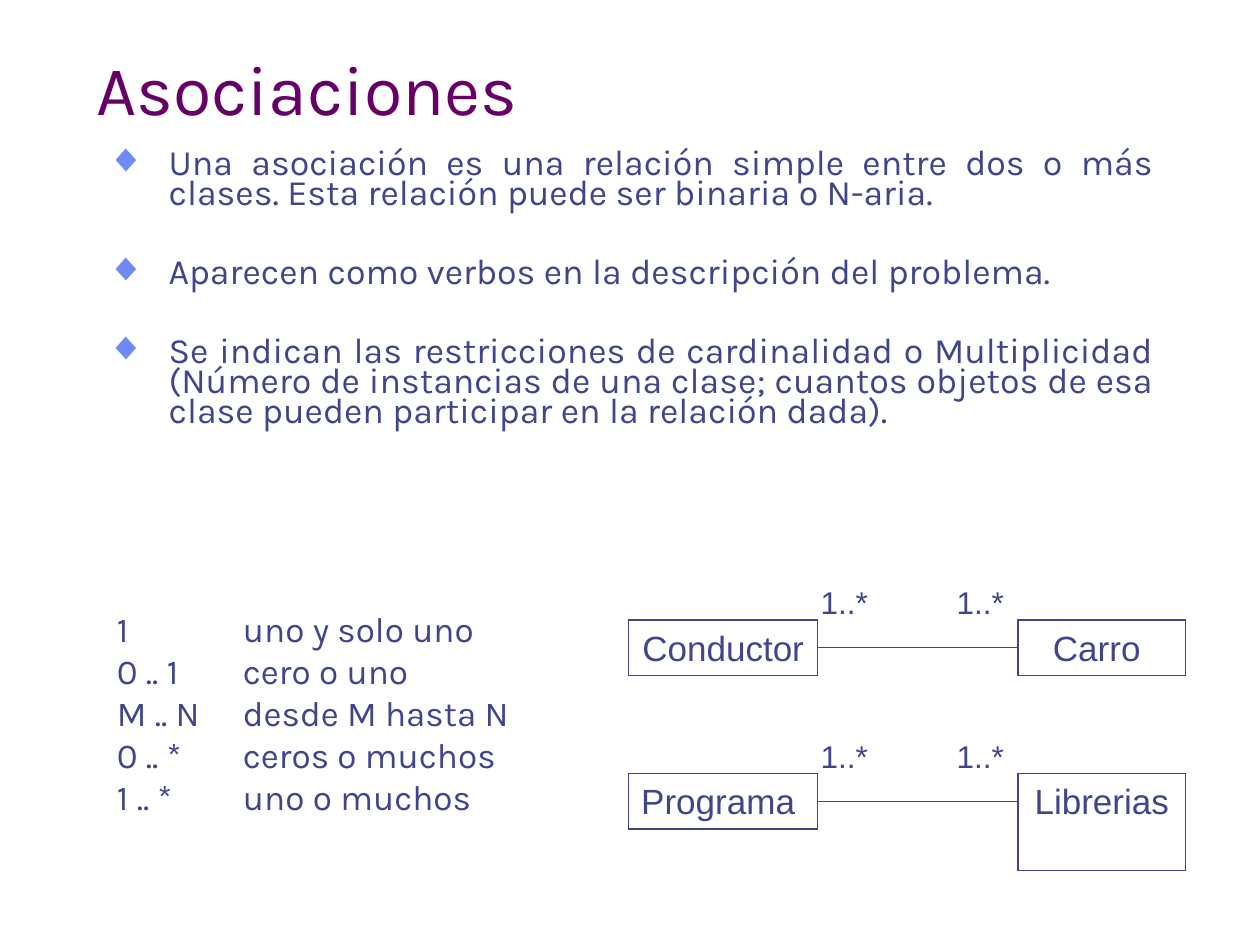
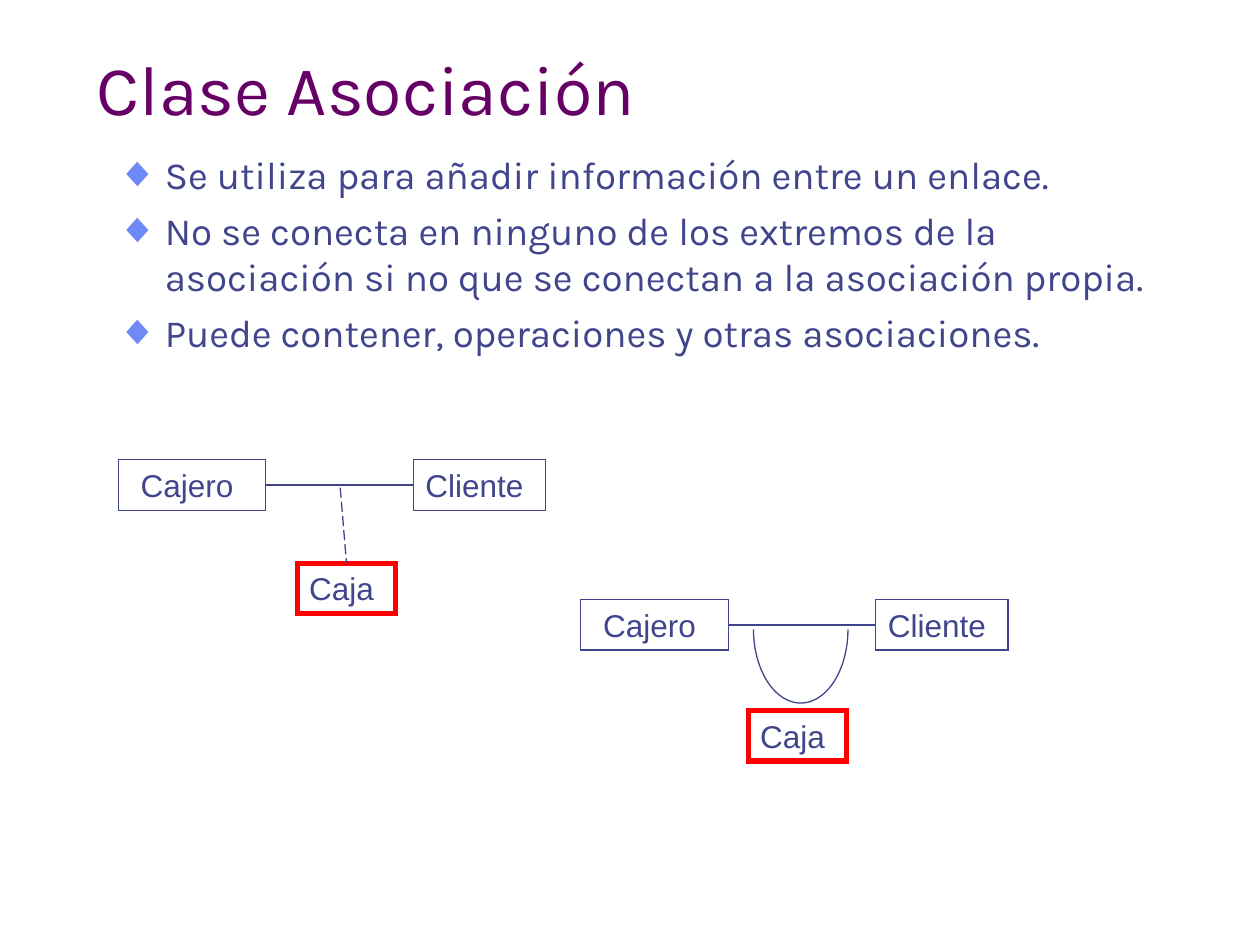
from dataclasses import dataclass

from lxml import etree
from pptx import Presentation
from pptx.dml.color import RGBColor
from pptx.enum.dml import MSO_LINE
from pptx.enum.shapes import MSO_CONNECTOR, MSO_SHAPE
from pptx.enum.text import MSO_ANCHOR, PP_ALIGN
from pptx.oxml.ns import qn
from pptx.shapes.autoshape import Shape
from pptx.shapes.connector import Connector
from pptx.slide import Slide
from pptx.util import Inches, Pt

# Shared style
PURPLE = RGBColor(0x66, 0x00, 0x66)
INDIGO = RGBColor(0x40, 0x45, 0x8C)
BULLET_BLUE = RGBColor(0x6F, 0x89, 0xF7)
RED = RGBColor(0xFF, 0x00, 0x00)
WHITE = RGBColor(0xFF, 0xFF, 0xFF)
BODY_FONT = "Karla"
DIAGRAM_FONT = "Arial"
LINE_WIDTH = Pt(0.75)
RIGHT_SIDE, LEFT_SIDE, TOP_SIDE = 3, 1, 0


@dataclass(frozen=True)
class Box:
    left: float
    top: float
    width: float
    height: float


@dataclass(frozen=True)
class ClassBox:
    """A class of the diagram; nudge moves its name to the left."""
    name: str
    box: Box
    size: float = 18
    nudge: float = 0.04
    color: RGBColor = INDIGO
    line_width: float = 0.75


TITLE_BOX = Box(0.67, 0.28, 8.5, 0.79)


def place(box: Box) -> tuple:
    return tuple(Inches(v) for v in (box.left, box.top, box.width, box.height))


def add_bullet(p_pr, indent: float) -> None:
    p_pr.set("marL", str(Inches(indent)))
    p_pr.set("indent", str(-Inches(indent)))
    color = etree.SubElement(p_pr, qn("a:buClr"))
    etree.SubElement(color, qn("a:srgbClr"), val=str(BULLET_BLUE))
    etree.SubElement(p_pr, qn("a:buSzPct"), val="110000")
    etree.SubElement(p_pr, qn("a:buFont"), typeface=DIAGRAM_FONT)
    etree.SubElement(p_pr, qn("a:buChar"), char="◆")


def add_tab(p_pr, position: float) -> None:
    tabs = etree.SubElement(p_pr, qn("a:tabLst"))
    etree.SubElement(tabs, qn("a:tab"), pos=str(Inches(position)), algn="l")


def write_text(shape: Shape, *lines: str, size: float, font: str = BODY_FONT,
               color: RGBColor = INDIGO, align: PP_ALIGN = PP_ALIGN.LEFT,
               anchor: MSO_ANCHOR = MSO_ANCHOR.TOP, spacing: float = 1.0,
               gap: float = 0, bullet_indent: float = 0, tab: float = 0,
               left_inset: float = 0.1, right_inset: float = 0.1) -> None:
    frame = shape.text_frame
    frame.word_wrap = True
    frame.vertical_anchor = anchor
    frame.margin_left, frame.margin_right = Inches(left_inset), Inches(right_inset)
    frame.margin_top = frame.margin_bottom = Inches(0.05)
    for index, line in enumerate(lines):
        paragraph = frame.add_paragraph() if index else frame.paragraphs[0]
        p_pr = paragraph._p.get_or_add_pPr()
        if bullet_indent:
            add_bullet(p_pr, bullet_indent)
        if tab:
            add_tab(p_pr, tab)
        paragraph.alignment = align
        paragraph.line_spacing = spacing
        if index and gap:
            paragraph.space_before = Pt(gap)
        run = paragraph.add_run()
        run.text = line
        run.font.size = Pt(size)
        run.font.name = font
        run.font.color.rgb = color


def add_text(slide: Slide, box: Box, *lines: str, **style) -> None:
    write_text(slide.shapes.add_textbox(*place(box)), *lines, **style)


def add_titled_slide(deck, title: str) -> Slide:
    slide = deck.slides.add_slide(deck.slide_layouts[6])
    slide.background.fill.solid()
    slide.background.fill.fore_color.rgb = WHITE
    add_text(slide, TITLE_BOX, title, size=40, color=PURPLE,
             anchor=MSO_ANCHOR.BOTTOM, spacing=0.8)
    return slide


def add_outline(slide: Slide, kind: MSO_SHAPE, box: Box, color: RGBColor = INDIGO,
                width: float = 0.75) -> Shape:
    outline = slide.shapes.add_shape(kind, *place(box))
    outline.shadow.inherit = False
    outline.fill.background()
    outline.line.color.rgb = color
    outline.line.width = Pt(width)
    # Square corners
    etree.SubElement(outline._element.spPr.find(qn("a:ln")), qn("a:miter"), lim="800000")
    return outline


def add_class(slide: Slide, item: ClassBox) -> Shape:
    rectangle = add_outline(slide, MSO_SHAPE.RECTANGLE, item.box, item.color, item.line_width)
    write_text(rectangle, item.name, size=item.size, font=DIAGRAM_FONT,
               align=PP_ALIGN.CENTER, left_inset=0.05, right_inset=0.05 + 2 * item.nudge)
    return rectangle


def add_line(slide: Slide, x1: float, y1: float, x2: float, y2: float) -> Connector:
    line = slide.shapes.add_connector(
        MSO_CONNECTOR.STRAIGHT, Inches(x1), Inches(y1), Inches(x2), Inches(y2))
    line.line.color.rgb = INDIGO
    line.line.width = LINE_WIDTH
    etree.SubElement(line._element.spPr, qn("a:effectLst"))
    return line


def add_association(slide: Slide, source: ClassBox, target: ClassBox) -> None:
    """Two classes and the line that leaves the middle of the source."""
    source_shape, target_shape = add_class(slide, source), add_class(slide, target)
    middle = source.box.top + source.box.height / 2
    line = add_line(slide, source.box.left + source.box.width, middle,
                    target.box.left, middle)
    line.begin_connect(source_shape, RIGHT_SIDE)
    if source.box.height == target.box.height:
        line.end_connect(target_shape, LEFT_SIDE)


def add_cashier_pair(slide: Slide, left: float, top: float) -> None:
    add_association(slide,
                    ClassBox("Cajero", Box(left, top, 1.17, 0.4)),
                    ClassBox("Cliente", Box(left + 2.34, top, 1.05, 0.4)))


def add_register(slide: Slide, left: float, top: float) -> Shape:
    return add_class(slide, ClassBox("Caja", Box(left, top, 0.78, 0.4),
                                     color=RED, line_width=3))


def build_associations(deck) -> None:
    slide = add_titled_slide(deck, "Asociaciones")
    add_text(slide, Box(0.75, 1.15, 8.5, 3.07),
             "Una asociación es una relación simple entre dos o más clases. "
             "Esta relación puede ser binaria o N-aria.",
             "Aparecen como verbos en la descripción del problema.",
             "Se indican las restricciones de cardinalidad o Multiplicidad "
             "(Número de instancias de una clase; cuantos objetos de esa clase "
             "pueden participar en la relación dada).",
             size=20.4, align=PP_ALIGN.JUSTIFY, spacing=0.7, gap=28, bullet_indent=0.49)

    # Meaning of each multiplicity
    add_text(slide, Box(0.83, 4.77, 3.46, 1.77),
             "1\tuno y solo uno", "0 .. 1\tcero o uno", "M .. N\tdesde M hasta N",
             "0 .. *\tceros o muchos", "1 .. *\tuno o muchos", size=20, tab=1)

    # Example associations
    examples = [
        (4.92, ("Conductor", 0), ("Carro", 0.04), 0.44),
        (6.14, ("Programa", 0.04), ("Librerias", 0), 0.77),
    ]
    for top, (source, source_nudge), (target, target_nudge), target_height in examples:
        add_association(
            slide,
            ClassBox(source, Box(4.99, top, 1.5, 0.44), 20, source_nudge),
            ClassBox(target, Box(8.08, top, 1.33, target_height), 20, target_nudge))
        for left in (6.41, 7.49):
            add_text(slide, Box(left, top - 0.34, 0.58, 0.4), "1..*", size=18,
                     font=DIAGRAM_FONT, align=PP_ALIGN.CENTER,
                     left_inset=0.05, right_inset=0.05)


def build_association_class(deck) -> None:
    slide = add_titled_slide(deck, "Clase Asociación")
    add_text(slide, Box(0.83, 1.15, 8.74, 2.13),
             "Se utiliza para añadir información entre un enlace.",
             "No se conecta en ninguno de los extremos de la asociación si no que "
             "se conectan a la asociación propia.",
             "Puede contener, operaciones y otras asociaciones.",
             size=22, gap=5.5, bullet_indent=0.38)

    # Association class joined by a dashed line
    add_cashier_pair(slide, 0.94, 3.65)
    register = add_register(slide, 2.36, 4.47)
    dashed = add_line(slide, 2.7, 3.87, 2.75, 4.47)
    dashed.line.dash_style = MSO_LINE.LONG_DASH
    dashed.end_connect(register, TOP_SIDE)

    # Association class joined by an arc
    add_cashier_pair(slide, 4.61, 4.76)
    add_register(slide, 5.94, 5.64)
    arc = add_outline(slide, MSO_SHAPE.ARC, Box(5.98, 4.41, 0.75, 1.17))
    # Lower half: angles count 60000 units a degree, adjustments 100000
    arc.adjustments[0] = 0
    arc.adjustments[1] = 180 * 0.6


def main() -> None:
    deck = Presentation()
    deck.slide_width, deck.slide_height = Inches(10), Inches(7.5)
    build_associations(deck)
    build_association_class(deck)
    deck.save("out.pptx")


if __name__ == "__main__":
    main()
